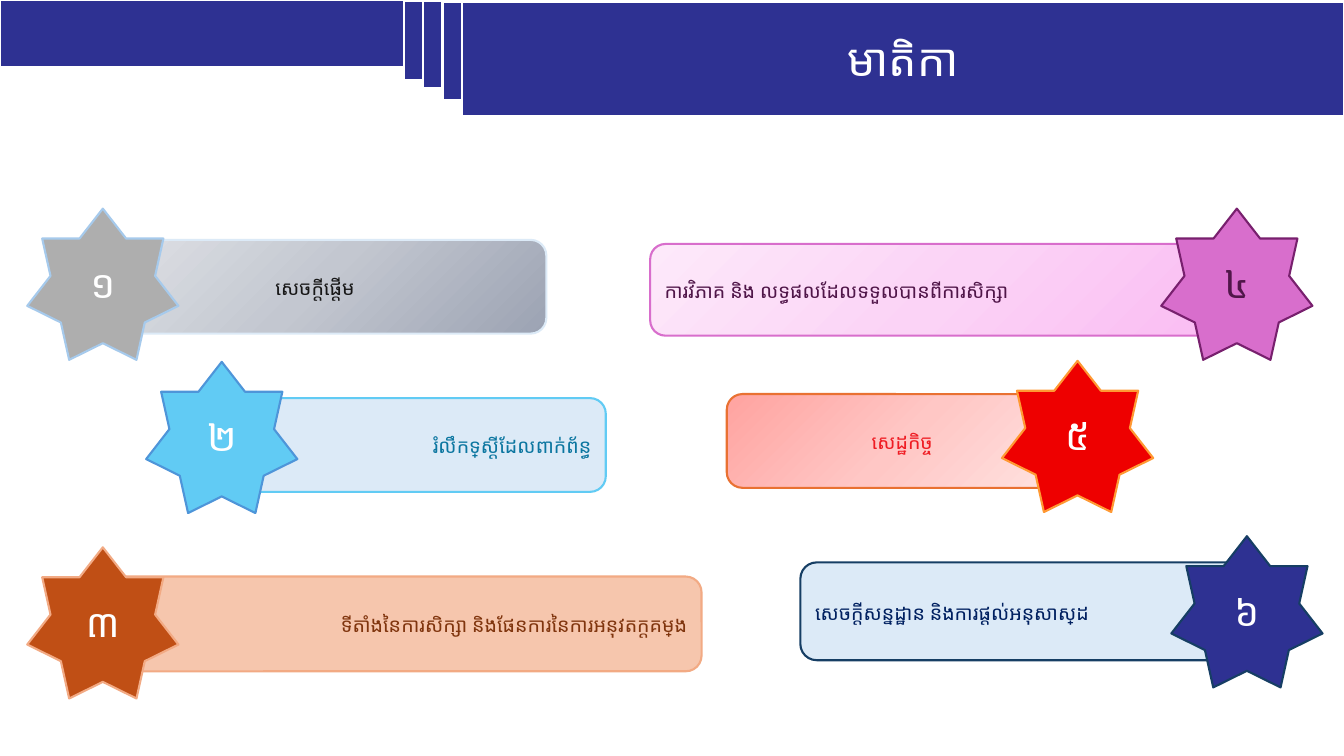
"""Build the contents slide: six numbered topics under a stepped header."""
import dataclasses
import typing

import lxml.etree
import pptx
import pptx.dml.color
import pptx.enum.shapes
import pptx.enum.text
import pptx.oxml.ns
import pptx.util

COLUMNS, ROWS = 133.33, 75
FONT = "Lato"
NAVY, WHITE = "2E3192", "FFFFFF"
STAR_SIDE = 15
STEP_LEFT, STEP_WIDTH = 40.1, 1.9

KIND = pptx.enum.shapes.MSO_SHAPE
ALIGN = pptx.enum.text.PP_ALIGN

deck = pptx.Presentation()
deck.slide_width = pptx.util.Inches(13.33)
deck.slide_height = pptx.util.Inches(7.5)


@dataclasses.dataclass(frozen=True)
class Area:
    """A rectangle in grid columns and rows."""

    left: float
    top: float
    width: float
    height: float


@dataclasses.dataclass(frozen=True)
class Label:
    """One line of text and its look."""

    text: str
    size: float
    color: str
    align: typing.Any = ALIGN.CENTER
    spacing: float = 1.1


@dataclasses.dataclass(frozen=True)
class Gradient:
    """Three evenly spaced colours, running diagonally or from the top left corner."""

    colors: tuple[str, str, str]
    radial: bool = False


@dataclasses.dataclass(frozen=True)
class Topic:
    """A rounded card with its numbered star."""

    card: Area
    card_fill: str | Gradient
    card_line: str
    label: Label
    star_left: float
    star_top: float
    star_fill: str
    star_line: str
    number: str
    number_color: str = WHITE


TOPICS = [
    Topic(Area(8.3, 23.8, 45.9, 9.3), Gradient(("9CA3B3", "C3C7D0", "E2E4E8")), "DCEAF7",
          Label("សេចក្ដីផ្ដើម", 14, "171717"),
          2.7, 20.7, "AEAEAE", "A6CAEC", "១"),
    Topic(Area(20.1, 39.5, 40, 9.3), "DCEAF7", "61CBF4",
          Label("រំលឹកទ្រឹស្ដីដែលពាក់ព័ន្ធ", 14, "0B76A0", ALIGN.RIGHT),
          14.5, 35.9, "61CBF4", "4E95D9", "២"),
    Topic(Area(9, 57.2, 60.6, 9.4), "F6C6AD", "F2AA84",
          Label("ទីតាំងនៃការសិក្សា និងផែនការនៃការអនុវតក្ដគម្រោង", 14, "80350E", ALIGN.RIGHT),
          2.7, 54.3, "C04F15", "F2AA84", "៣"),
    Topic(Area(64.5, 24.2, 59.3, 9.1), Gradient(("FABAF2", "FBD3F6", "FDE9FA")), "D86ECC",
          Label("ការវិភាគ និង លទ្ធផលដែលទទួលបានពីការសិក្សា", 14, "501649", ALIGN.LEFT),
          115.2, 20.7, "D86ECC", "78206E", "៤", "501649"),
    Topic(Area(72.1, 39.1, 34.8, 9.3), Gradient(("FFA3A0", "FFC7C5", "FFE4E3"), True), "E97132",
          Label("សេដ្ឋកិច្ច", 14, "EF1C23"),
          99.4, 35.8, "EE0000", "FF9933", "៥"),
    Topic(Area(79.4, 55.8, 44.4, 9.7), "DCEAF7", "163E64",
          Label("សេចក្ដីសន្នដ្ឋាន និងការផ្ដល់អនុសាស្រ្ដ", 14, "002060", ALIGN.LEFT),
          116.2, 53.2, NAVY, "163E64", "៦"),
]

STEPS = [(0.1, 7.8), (0.1, 8.6), (0.2, 9.7), (0.2, 11.3)]
TITLE = Label("មាតិកា", 32, WHITE, spacing=1.0)


def column(count: float) -> int:
    """Return the length of a number of grid columns."""
    return round(deck.slide_width * count / COLUMNS)


def row(count: float) -> int:
    """Return the length of a number of grid rows."""
    return round(deck.slide_height * count / ROWS)


def rgb(value: str) -> pptx.dml.color.RGBColor:
    """Turn a hex string into a colour."""
    return pptx.dml.color.RGBColor.from_string(value)


def add_gradient(box: typing.Any, gradient: Gradient) -> None:
    """Fill a box with a three-colour gradient."""
    name = pptx.oxml.ns.qn
    add = lxml.etree.SubElement
    box.fill.gradient()
    fill = box._element.spPr.find(name("a:gradFill"))
    for child in list(fill):
        fill.remove(child)
    stops = add(fill, name("a:gsLst"))
    for index, color in enumerate(gradient.colors):
        stop = add(stops, name("a:gs"), pos=str(index * 50000))
        add(stop, name("a:srgbClr"), val=color)
    if gradient.radial:
        circle = add(fill, name("a:path"), path="circle")
        add(circle, name("a:fillToRect"), r="100000", b="100000")
    else:
        add(fill, name("a:lin"), ang=str(225 * 60000), scaled="0")


def add_label(box: typing.Any, label: Label) -> None:
    """Write a label in the vertical middle of a box."""
    frame = box.text_frame
    frame.word_wrap = True
    frame.vertical_anchor = pptx.enum.text.MSO_ANCHOR.MIDDLE
    para = frame.paragraphs[0]
    para.alignment = label.align
    para.line_spacing = label.spacing
    span = para.add_run()
    span.text = label.text
    span.font.name = FONT
    span.font.size = pptx.util.Pt(label.size)
    span.font.color.rgb = rgb(label.color)


def add_box(page: typing.Any, kind: typing.Any, area: Area, fill: str | Gradient,
            line: str, label: Label | None = None) -> None:
    """Draw one outlined shape with an optional label."""
    box = page.shapes.add_shape(kind, column(area.left), row(area.top),
                                column(area.width), row(area.height))
    box.shadow.inherit = False
    if isinstance(fill, Gradient):
        add_gradient(box, fill)
    else:
        box.fill.solid()
        box.fill.fore_color.rgb = rgb(fill)
    box.line.color.rgb = rgb(line)
    box.line.width = pptx.util.Pt(1.5)
    if label:
        add_label(box, label)


def add_topic(page: typing.Any, topic: Topic) -> None:
    """Draw a card and the star over its end."""
    add_box(page, KIND.ROUNDED_RECTANGLE, topic.card, topic.card_fill,
            topic.card_line, topic.label)
    star = Area(topic.star_left, topic.star_top, STAR_SIDE, STAR_SIDE)
    add_box(page, KIND.STAR_7_POINT, star, topic.star_fill, topic.star_line,
            Label(topic.number, 28, topic.number_color))


def add_header(page: typing.Any) -> None:
    """Draw the stepped bars, with the title on the last one."""
    add_box(page, KIND.RECTANGLE, Area(0, 0, COLUMNS, 6.7), NAVY, WHITE)
    for index, (top, height) in enumerate(STEPS):
        left = STEP_LEFT + STEP_WIDTH * index
        title = TITLE if index == len(STEPS) - 1 else None
        add_box(page, KIND.RECTANGLE, Area(left, top, COLUMNS - left, height),
                NAVY, WHITE, title)


def main() -> None:
    """Build and save the deck."""
    page = deck.slides.add_slide(deck.slide_layouts[6])
    for topic in TOPICS:
        add_topic(page, topic)
    add_header(page)
    deck.save("out.pptx")


if __name__ == "__main__":
    main()
